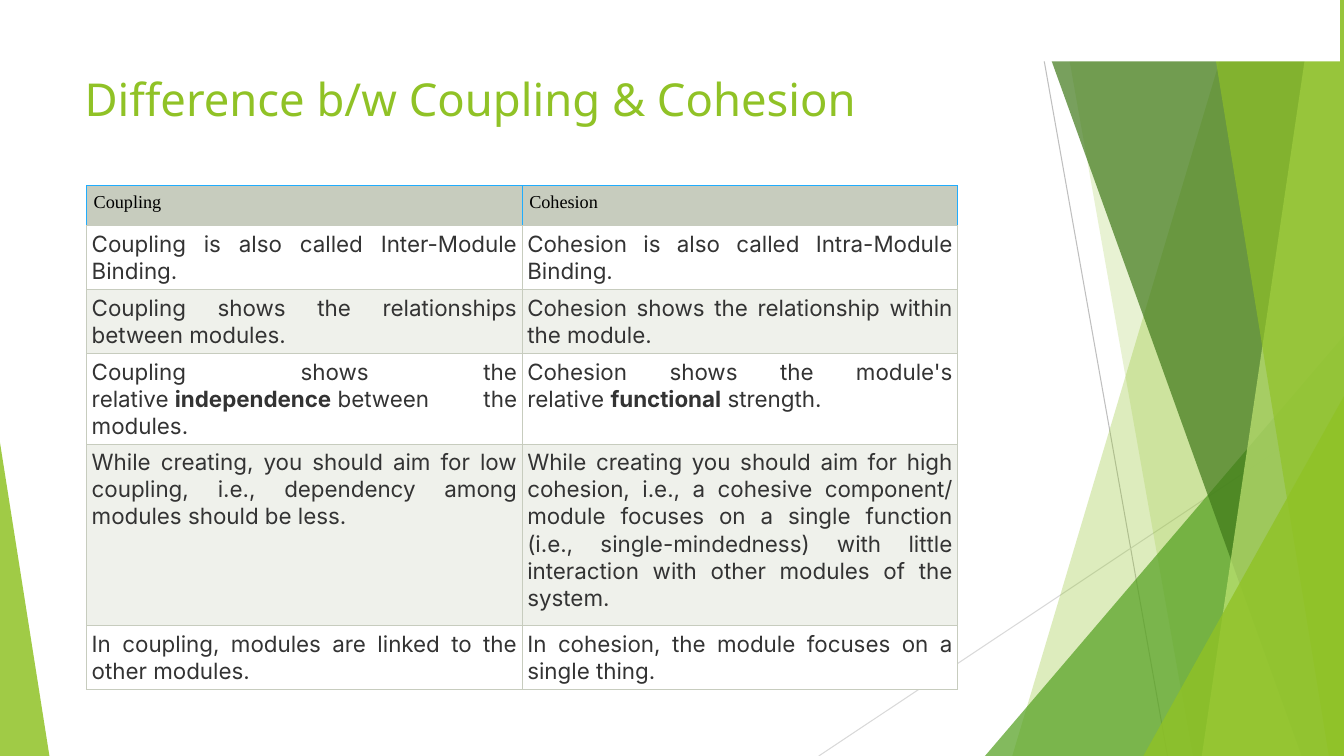
"""Build the slide that compares coupling with cohesion in a table."""
from dataclasses import dataclass
from typing import NamedTuple

from lxml.etree import SubElement
from pptx import Presentation
from pptx.dml.color import RGBColor as Rgb
from pptx.enum.shapes import MSO_CONNECTOR as Connector, MSO_SHAPE as Preset
from pptx.enum.text import MSO_ANCHOR as Anchor, PP_ALIGN as Align
from pptx.oxml import parse_xml
from pptx.oxml.ns import nsdecls, qn
from pptx.util import Emu, Inches, Pt


@dataclass(frozen=True)
class Theme:
    """Colours, fonts and type sizes of the slide."""
    lime: str = "90C226"
    green: str = "54A021"
    forest: str = "3F7819"
    pale: str = "C0E474"
    white: str = "FFFFFF"
    black: str = "000000"
    ink: str = "333333"
    sage: str = "C7CCBE"
    band: str = "EFF1EB"
    blue: str = "20ACFD"
    rays: tuple = ("BFBFBF", "D9D9D9")
    title_font: str = "Noto Sans"
    header_font: str = "Times New Roman"
    body_font: str = "Inter"
    title_size: float = 32.4
    header_size: float = 13
    body_size: float = 16
    ray_width: float = 0.75
    border_width: float = 0.6


class Ray(NamedTuple):
    """Thin line between two points, in percent of the slide."""
    x1: float
    y1: float
    x2: float
    y2: float
    color: str


class Shard(NamedTuple):
    """Full-height pane reaching the right edge of the slide."""
    top_x: float
    bottom_x: float
    color: str
    opacity: int


class Wedge(NamedTuple):
    """Right triangle standing on the bottom edge of the slide."""
    left: float
    width: float
    top: float
    apex: float
    color: str
    opacity: int


THEME = Theme()
WIDTH, HEIGHT = Inches(13.33), Inches(7.5)
SHARD_TOP = -0.13
RAYS = [Ray(76.89, 0, 86.87, 100, THEME.rays[0]),
        Ray(100, 53.73, 60.92, 100, THEME.rays[1])]
PANES = [
    Shard(92.12, 75.32, THEME.lime, 30),
    Shard(78.77, 88.75, THEME.lime, 20),
    Wedge(73.29, 26.71, 44.4, 1, THEME.green, 72),
    Shard(76.59, 96.85, THEME.forest, 70),
    Shard(97.75, 89.42, THEME.pale, 70),
    Shard(89.72, 98.87, THEME.lime, 65),
    Wedge(85.07, 14.93, 52.4, 1, THEME.lime, 80),
    Wedge(0, 3.68, 58.53, 0, THEME.lime, 85),
]
ROW_HEIGHTS = [5.33, 7.87, 7.87, 11.07, 24, 7.87]
COMPARISON = [
    ("Coupling", "Cohesion"),
    ("Coupling is also called Inter-Module Binding.",
     "Cohesion is also called Intra-Module Binding."),
    ("Coupling shows the relationships between modules.",
     "Cohesion shows the relationship within the module."),
    ("Coupling shows the relative\u00a0*independence*\u00a0between the modules.",
     "Cohesion shows the module's relative\u00a0*functional*\u00a0strength."),
    ("While creating, you should aim for low coupling, i.e., dependency among "
     "modules should be less.",
     "While creating you should aim for high cohesion, i.e., a cohesive "
     "component/ module focuses on a single function (i.e., single-mindedness) "
     "with little interaction with other modules of the system."),
    ("In coupling, modules are linked to the other modules.",
     "In cohesion, the module focuses on a single thing."),
]


def across(percent: float) -> Emu:
    """Turn a share of the slide width into a length."""
    return Emu(round(WIDTH * percent / 100))


def down(percent: float) -> Emu:
    """Turn a share of the slide height into a length."""
    return Emu(round(HEIGHT * percent / 100))


def write(frame, text: str, *, font: str, size: float, color: str,
          align=Align.LEFT) -> None:
    """Fill a text frame; words between asterisks become bold."""
    frame.word_wrap = True
    paragraph = frame.paragraphs[0]
    paragraph.alignment = align
    for index, part in enumerate(text.split("*")):
        run = paragraph.add_run()
        run.text = part
        run.font.name, run.font.size = font, Pt(size)
        run.font.bold = index % 2 == 1
        run.font.color.rgb = Rgb.from_string(color)


def paint(shape, color: str, opacity: int = 100) -> None:
    """Give a shape a flat fill without outline or shadow."""
    shape.shadow.inherit = False
    shape.line.fill.background()
    shape.fill.solid()
    shape.fill.fore_color.rgb = Rgb.from_string(color)
    if opacity < 100:
        tint = shape._element.spPr.find(qn("a:solidFill")).find(qn("a:srgbClr"))
        SubElement(tint, qn("a:alpha")).set("val", str(opacity * 1000))


def draw_ray(shapes, ray: Ray) -> None:
    """Draw one thin background line."""
    line = shapes.add_connector(Connector.STRAIGHT, across(ray.x1), down(ray.y1),
                                across(ray.x2), down(ray.y2))
    line.line.color.rgb = Rgb.from_string(ray.color)
    line.line.width = Pt(THEME.ray_width)
    SubElement(line._element.spPr, qn("a:effectLst"))


def draw_shard(shapes, shard: Shard) -> None:
    """Draw one slanted pane."""
    outline = shapes.build_freeform(across(shard.top_x), down(SHARD_TOP))
    outline.add_line_segments([(across(100), down(SHARD_TOP)),
                               (across(100), down(100)),
                               (across(shard.bottom_x), down(100))])
    paint(outline.convert_to_shape(), shard.color, shard.opacity)


def draw_wedge(shapes, wedge: Wedge) -> None:
    """Draw one corner triangle."""
    triangle = shapes.add_shape(Preset.ISOSCELES_TRIANGLE, across(wedge.left),
                                down(wedge.top), across(wedge.width),
                                down(100 - wedge.top))
    triangle.adjustments[0] = wedge.apex
    paint(triangle, wedge.color, wedge.opacity)


def style_cell(cell, fill: str, padding: float, edge: str) -> None:
    """Set fill, padding and borders of a table cell."""
    cell.fill.solid()
    cell.fill.fore_color.rgb = Rgb.from_string(fill)
    cell.margin_left = cell.margin_right = Inches(padding)
    cell.margin_top = cell.margin_bottom = Inches(padding)
    properties = cell._tc.get_or_add_tcPr()
    for index, (side, color) in enumerate(zip("LRTB", (edge, edge, edge, THEME.sage))):
        properties.insert(index, parse_xml(
            f'<a:ln{side} {nsdecls("a")} w="{Pt(THEME.border_width)}"><a:solidFill>'
            f'<a:srgbClr val="{color}"/></a:solidFill></a:ln{side}>'))


def draw_comparison(shapes) -> None:
    """Draw the table of differences."""
    table = shapes.add_table(len(COMPARISON), 2, across(6.45), down(24.53),
                             across(64.82), down(sum(ROW_HEIGHTS))).table
    table.horz_banding = table.first_row = False
    for row, (height, texts) in enumerate(zip(ROW_HEIGHTS, COMPARISON)):
        table.rows[row].height = down(height)
        for column, text in enumerate(texts):
            cell = table.cell(row, column)
            if row == 0:
                style_cell(cell, THEME.sage, 0.07, THEME.blue)
                write(cell.text_frame, text, font=THEME.header_font,
                      size=THEME.header_size, color=THEME.black)
            else:
                style_cell(cell, THEME.white if row % 2 else THEME.band, 0.05, THEME.sage)
                write(cell.text_frame, text, font=THEME.body_font,
                      size=THEME.body_size, color=THEME.ink, align=Align.JUSTIFY)


deck = Presentation()
deck.slide_width, deck.slide_height = WIDTH, HEIGHT
shapes = deck.slides.add_slide(deck.slide_layouts[6]).shapes
for ray in RAYS:
    draw_ray(shapes, ray)
for pane in PANES:
    (draw_shard if isinstance(pane, Shard) else draw_wedge)(shapes, pane)
heading = shapes.add_textbox(across(5.55), down(8.93), across(70.52), down(8.27)).text_frame
heading.margin_top = heading.margin_bottom = 0
heading.vertical_anchor = Anchor.MIDDLE
write(heading, "Difference b/w Coupling & Cohesion", font=THEME.title_font,
      size=THEME.title_size, color=THEME.lime)
draw_comparison(shapes)
top_strip = shapes.add_shape(Preset.RECTANGLE, 0, down(-1.33), across(99.7), down(9.47))
paint(top_strip, THEME.white)
deck.save("out.pptx")
